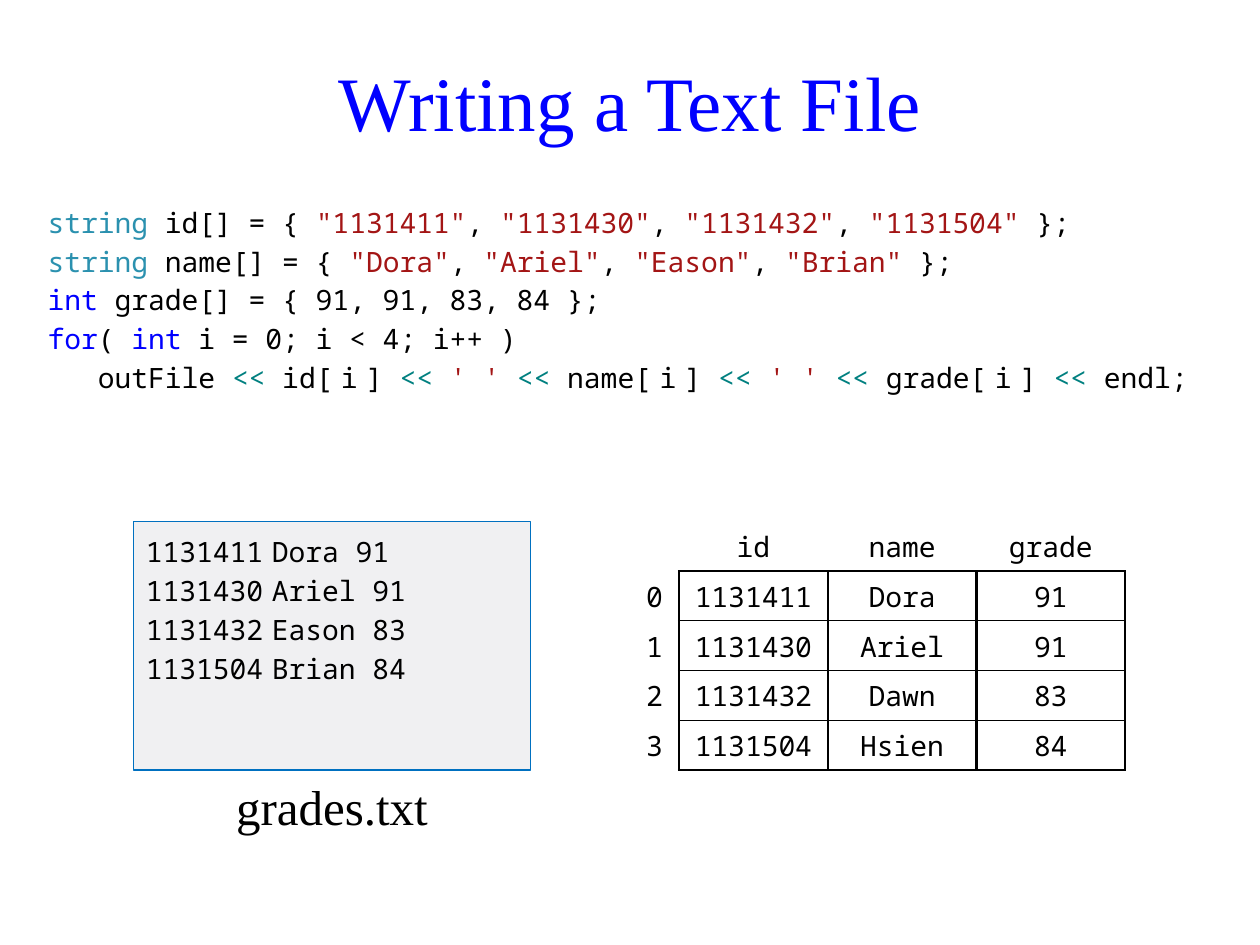
from dataclasses import dataclass

from pptx import Presentation
from pptx.dml.color import RGBColor
from pptx.enum.shapes import MSO_SHAPE
from pptx.enum.text import MSO_ANCHOR, PP_ALIGN
from pptx.oxml import parse_xml
from pptx.oxml.ns import nsdecls
from pptx.util import Inches, Pt

COLORS = {
    "text": "000000",
    "keyword": "0000FF",
    "type": "2B91AF",
    "string": "A31515",
    "operator": "008080",
    "file_fill": "F0F0F2",
    "file_line": "0070C0",
}
CODE_FONT = "Noto Sans Mono"
TITLE_FONT = "Times New Roman"


@dataclass(frozen=True)
class Run:
    text: str
    color: str = "text"
    size: int = 16
    font: str = CODE_FONT


@dataclass(frozen=True)
class Box:
    left: float
    top: float
    width: float
    height: float

    def lengths(self) -> list:
        return [Inches(value) for value in (self.left, self.top, self.width, self.height)]


def color(name: str) -> RGBColor:
    return RGBColor.from_string(COLORS[name])


def add_runs(paragraph, runs: list[Run]) -> None:
    for item in runs:
        run = paragraph.add_run()
        run.text = item.text
        formats = {"name": item.font, "size": Pt(item.size)}
        for name, value in formats.items():
            setattr(run.font, name, value)
        run.font.color.rgb = color(item.color)


def write_lines(text_frame, lines: list[list[Run]], align=PP_ALIGN.LEFT, gap: float = 0) -> None:
    for index, runs in enumerate(lines):
        paragraph = text_frame.add_paragraph() if index else text_frame.paragraphs[0]
        paragraph.alignment = align
        paragraph.space_before = Pt(gap if index else 0)
        add_runs(paragraph, runs)


def string_array(name: str, values: list[str]) -> list[Run]:
    runs = [Run("string", "type"), Run(f" {name}[] = {{ ")]
    for index, value in enumerate(values):
        if index:
            runs.append(Run(", "))
        runs.append(Run(f'"{value}"', "string"))
    return runs + [Run(" };")]


def element_output(name: str) -> list[Run]:
    return [Run("<<", "operator"), Run(f" {name}["), Run(" ", size=8), Run("i"),
            Run(" ", size=8), Run("] ")]


def separator_output() -> list[Run]:
    return [Run("<< ", "operator"), Run("' ' ", "string")]


def set_border(cell, side: str, width: float) -> None:
    paint = "<a:noFill/>"
    if width:
        paint = f'<a:solidFill><a:srgbClr val="{COLORS["text"]}"/></a:solidFill>'
    cell._tc.get_or_add_tcPr().append(parse_xml(
        f'<a:ln{side} {nsdecls("a")} w="{int(Pt(width))}">{paint}</a:ln{side}>'))


def vertical_width(row: int, edge: int) -> float:
    return 1.5 if row and edge else 0


def horizontal_width(edge: int, column: int, last_edge: int) -> float:
    if not edge or not column:
        return 0
    return 1.5 if edge in (1, last_edge) else 0.75


def add_grade_table(slide, box: Box, rows: list[list[str]], widths: list[float]) -> None:
    table = slide.shapes.add_table(len(rows), len(widths), *box.lengths()).table
    table.first_row = False
    table.horz_banding = False
    for column, width in zip(table.columns, widths):
        column.width = Inches(width)
    for row_index, values in enumerate(rows):
        for column_index, value in enumerate(values):
            cell = table.cell(row_index, column_index)
            borders = {
                "L": vertical_width(row_index, column_index),
                "R": vertical_width(row_index, column_index + 1),
                "T": horizontal_width(row_index, column_index, len(rows)),
                "B": horizontal_width(row_index + 1, column_index, len(rows)),
            }
            for side, width in borders.items():
                set_border(cell, side, width)
            cell.fill.background()
            formats = {"vertical_anchor": MSO_ANCHOR.MIDDLE,
                       "margin_top": Inches(0.05), "margin_bottom": Inches(0.04)}
            for name, setting in formats.items():
                setattr(cell, name, setting)
            if value:
                write_lines(cell.text_frame, [[Run(value)]], PP_ALIGN.CENTER)


def add_text(slide, box: Box, lines: list[list[Run]], wrap: bool, **formats) -> None:
    text_frame = slide.shapes.add_textbox(*box.lengths()).text_frame
    text_frame.word_wrap = wrap
    write_lines(text_frame, lines, **formats)


def add_file(slide, box: Box, records: list[str]) -> None:
    shape = slide.shapes.add_shape(MSO_SHAPE.RECTANGLE, *box.lengths())
    shape.shadow.inherit = False
    shape.fill.solid()
    shape.fill.fore_color.rgb = color("file_fill")
    shape.line.color.rgb = color("file_line")
    shape.line.width = Pt(1)
    text_frame = shape.text_frame
    text_frame.vertical_anchor = MSO_ANCHOR.TOP
    for side in ("left", "top", "right", "bottom"):
        setattr(text_frame, f"margin_{side}", Inches(0.1))
    write_lines(text_frame, [[Run(record)] for record in records], gap=3.2)


def add_title(slide, box: Box, text: str) -> None:
    title = slide.shapes.title
    for name, value in zip(("left", "top", "width", "height"), box.lengths()):
        setattr(title, name, value)
    title.text_frame.vertical_anchor = MSO_ANCHOR.MIDDLE
    write_lines(title.text_frame, [[Run(text, "keyword", 44, TITLE_FONT)]], PP_ALIGN.CENTER)


def main() -> None:
    presentation = Presentation()
    presentation.slide_width = Inches(10)
    presentation.slide_height = Inches(7.5)
    slide = presentation.slides.add_slide(presentation.slide_layouts[5])

    ids = ["1131411", "1131430", "1131432", "1131504"]
    names = ["Dora", "Ariel", "Eason", "Brian"]
    table_names = ["Dora", "Ariel", "Dawn", "Hsien"]
    grades = ["91", "91", "83", "84"]

    code = [
        string_array("id", ids),
        string_array("name", names),
        [Run("int", "keyword"), Run(f" grade[] = {{ {', '.join(grades)} }};")],
        [Run("for", "keyword"), Run("( "), Run("int", "keyword"), Run(" i = 0; i < 4; i++ )")],
        [Run("   outFile "), *element_output("id"), *separator_output(),
         *element_output("name"), *separator_output(), *element_output("grade"),
         Run("<<", "operator"), Run(" endl;")],
    ]
    records = [f"{number}\t{name} {grade}" for number, name, grade in zip(ids, names, grades)]
    rows = [["", "id", "name", "grade"]]
    for index, values in enumerate(zip(ids, table_names, grades)):
        rows.append([str(index), *values])

    add_title(slide, Box(0.47, 0.21, 9.06, 1.18), "Writing a Text File")
    add_text(slide, Box(0.28, 1.58, 9.45, 1.77), code, True, gap=3)
    add_file(slide, Box(1.06, 4.14, 3.15, 1.97), records)
    add_text(slide, Box(1.65, 6.11, 1.97, 0.59),
             [[Run("grades.txt", size=28, font=TITLE_FONT)]], False, align=PP_ALIGN.CENTER)
    add_grade_table(slide, Box(5, 4.14, 3.94, 1.97), rows, [0.39] + [1.18] * 3)
    presentation.save("out.pptx")


if __name__ == "__main__":
    main()
